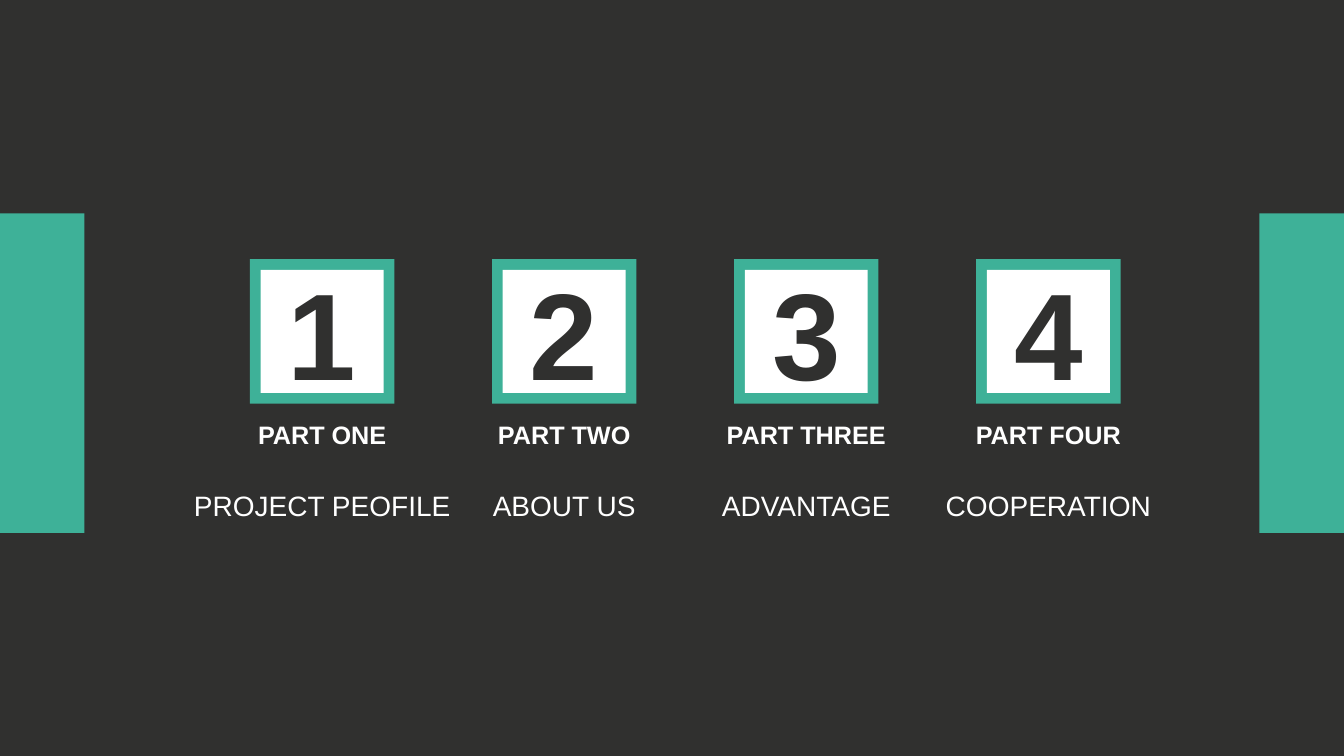
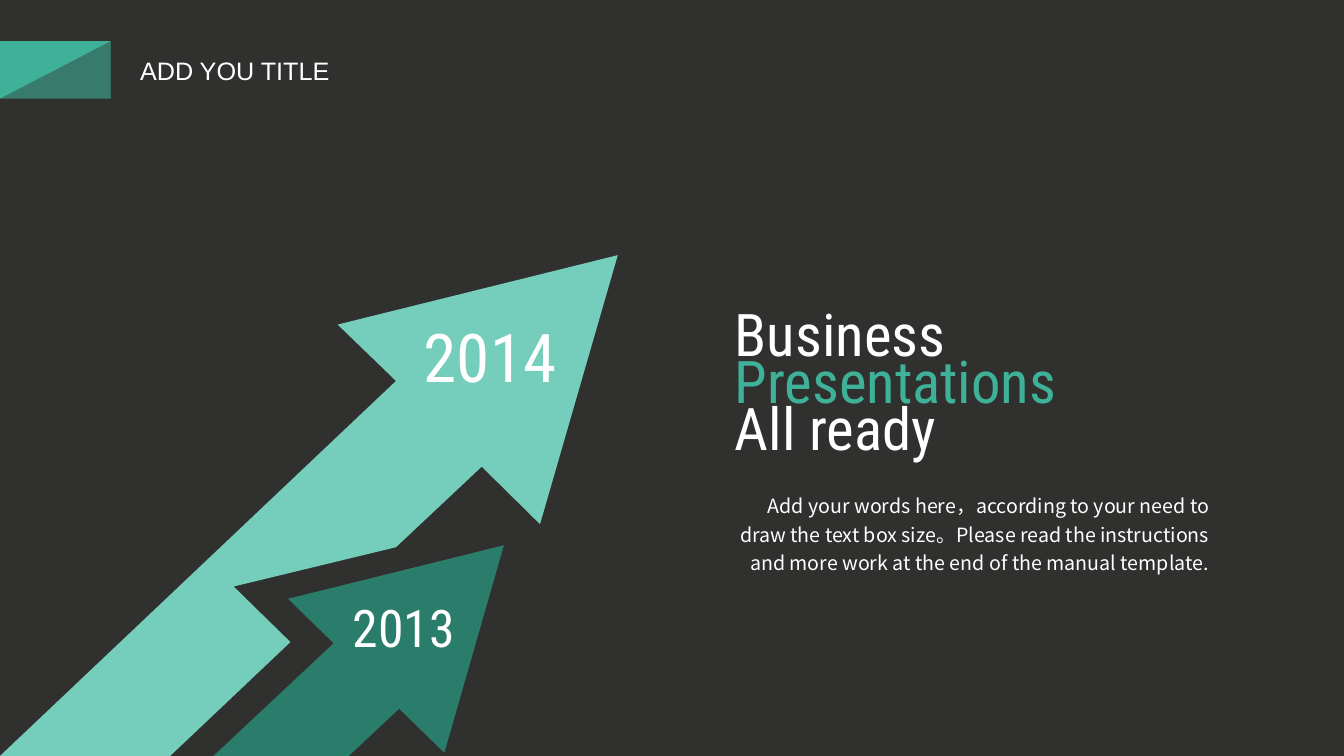
from dataclasses import dataclass

from lxml import etree
from pptx import Presentation
from pptx.dml.color import RGBColor
from pptx.enum.shapes import MSO_SHAPE
from pptx.enum.text import MSO_ANCHOR, MSO_AUTO_SIZE, PP_ALIGN
from pptx.oxml.ns import qn
from pptx.util import Cm, Pt

RECT, RIGHT_TRIANGLE = MSO_SHAPE.RECTANGLE, MSO_SHAPE.RIGHT_TRIANGLE
LEFT, CENTER, RIGHT = PP_ALIGN.LEFT, PP_ALIGN.CENTER, PP_ALIGN.RIGHT
TOP, MIDDLE = MSO_ANCHOR.TOP, MSO_ANCHOR.MIDDLE
GROW, FIXED = MSO_AUTO_SIZE.SHAPE_TO_FIT_TEXT, MSO_AUTO_SIZE.NONE


@dataclass(frozen=True)
class Theme:
    # Colours
    dark: RGBColor = RGBColor(0x30, 0x30, 0x2F)
    green: RGBColor = RGBColor(0x3E, 0xB1, 0x98)
    light_green: RGBColor = RGBColor(0x74, 0xCE, 0xBB)
    deep_green: RGBColor = RGBColor(0x2B, 0x7D, 0x6B)
    white: RGBColor = RGBColor(0xFF, 0xFF, 0xFF)
    # Fonts
    sans: str = "Arial"
    condensed: str = "Roboto Condensed"
    body_font: str = "Noto Sans CJK SC"
    # Type sizes in points
    number: int = 88
    title: int = 18
    topic: int = 20
    headline: int = 42
    year_large: int = 48
    year_small: int = 37
    body: int = 14


T = Theme()
SLIDE_W, SLIDE_H = 33.87, 19.05

# Agenda: caption, caption width, topic, topic width
PARTS = [
    ("PART ONE", 3.78, "PROJECT PEOFILE", 7.04),
    ("PART TWO", 3.89, "ABOUT US", 4.14),
    ("PART THREE", 4.57, "ADVANTAGE", 4.8),
    ("PART FOUR", 4.22, "COOPERATION", 5.74),
]
FIRST_CENTER, PITCH = 8.12, 6.1
FRAME, FRAME_TOP, BORDER = 3.64, 6.53, 0.27

# Arrow outlines, starting from the tip
LARGE_ARROW = [(15.57, 6.43), (8.51, 8.18), (9.98, 9.6), (0, SLIDE_H),
               (4.29, SLIDE_H), (7.32, 16.18), (5.89, 14.78), (9.98, 13.79),
               (12.14, 11.76), (13.61, 13.21)]
SMALL_ARROW = [(12.7, 13.74), (7.26, 15.09), (8.41, 16.21), (5.38, SLIDE_H),
               (8.79, SLIDE_H), (10.06, 17.86), (11.2, 18.97)]


def paint(sp, color):
    """Give a shape a plain fill without line or shadow."""
    sp.shadow.inherit = False
    sp.fill.solid()
    sp.fill.fore_color.rgb = color
    sp.line.fill.background()
    return sp


def add_block(shapes, x, y, w, h, color, kind=RECT):
    return paint(shapes.add_shape(kind, Cm(x), Cm(y), Cm(w), Cm(h)), color)


def add_outline(s, points, color):
    start, *rest = [(Cm(x), Cm(y)) for x, y in points]
    builder = s.shapes.build_freeform(*start)
    builder.add_line_segments(rest, close=True)
    return paint(builder.convert_to_shape(), color)


def style(p, size, color, font, align=LEFT, bold=False, spacing=None):
    p.alignment = align
    if spacing is not None:
        p.line_spacing = spacing
    p.font.size = Pt(size)
    p.font.bold = bold
    p.font.name = font
    p.font.color.rgb = color


def add_text(s, x, y, w, h, lines, size, font, align=LEFT, bold=False,
             wrap=True, anchor=TOP, fit=GROW, margins=(0.25, 0.13),
             spacing=None):
    """Add a text box; lines holds one (text, colour) pair per paragraph."""
    tf = s.shapes.add_textbox(Cm(x), Cm(y), Cm(w), Cm(h)).text_frame
    tf.word_wrap = wrap
    tf.auto_size = fit
    tf.vertical_anchor = anchor
    tf.margin_left = tf.margin_right = Cm(margins[0])
    tf.margin_top = tf.margin_bottom = Cm(margins[1])
    for i, (text, color) in enumerate(lines):
        p = tf.add_paragraph() if i else tf.paragraphs[0]
        p.add_run().text = text
        style(p, size, color, font, align, bold, spacing)


def add_label(s, center, y, w, h, text, size, bold=False):
    """One unwrapped line centred on an agenda column."""
    add_text(s, center - w / 2, y, w, h, [(text, T.white)], size, T.sans,
             CENTER, bold, wrap=False)


def add_number(s, center, number):
    """A framed square with a large figure."""
    x, inner = center - FRAME / 2, FRAME - 2 * BORDER
    add_block(s.shapes, x, FRAME_TOP, FRAME, FRAME, T.green)
    sp = add_block(s.shapes, x + BORDER, FRAME_TOP + BORDER, inner, inner,
                   T.white)
    tf = sp.text_frame
    tf.vertical_anchor = MIDDLE
    p = tf.paragraphs[0]
    p.add_run().text = str(number)
    style(p, T.number, T.dark, T.sans, CENTER, bold=True)


def add_title(s, text):
    """Corner flag with a shaded half, and the slide title."""
    flag = s.shapes.add_group_shape().shapes
    box = (0, 1.04, 2.79, 1.45)
    add_block(flag, *box, T.green)
    shade = add_block(flag, *box, T.dark, RIGHT_TRIANGLE)
    shade._element.spPr.find(qn("a:xfrm")).set("flipH", "1")
    color = shade._element.spPr.find(qn("a:solidFill"))[0]
    etree.SubElement(color, qn("a:alpha")).set("val", "42000")
    add_text(s, 3.28, 1.27, 5.33, 1.02, [(text, T.white)], T.title, T.sans,
             wrap=False)


def build_agenda(s):
    # Side bars
    bar = 2.13
    for x in (0, SLIDE_W - bar):
        add_block(s.shapes, x, 5.38, bar, 8.05, T.green)
    # Numbered columns
    for i, (caption, caption_w, topic, topic_w) in enumerate(PARTS):
        center = FIRST_CENTER + i * PITCH
        add_number(s, center, i + 1)
        add_label(s, center, 10.44, caption_w, 1.02, caption, T.title, True)
        add_label(s, center, 12.19, topic_w, 1.12, topic, T.topic)


def build_growth(s):
    add_title(s, "ADD YOU TITLE")
    # Arrows
    add_outline(s, LARGE_ARROW, T.light_green)
    add_outline(s, SMALL_ARROW, T.deep_green)
    # Headline
    add_text(s, 18.19, 7.62, 11.38, 4.52,
             [("Business", T.white), ("Presentations", T.green),
              ("All ready", T.white)],
             T.headline, T.condensed, anchor=MIDDLE, fit=FIXED,
             margins=(0.33, 0.18), spacing=Pt(33.4))
    # Years
    for x, y, h, year, size in ((10.03, 7.82, 2.31, "2014", T.year_large),
                                (7.85, 14.88, 1.85, "2013", T.year_small)):
        add_text(s, x, y, 4.65, h, [(year, T.white)], size, T.condensed,
                 CENTER)
    # Body text
    body = ("Add your words here，according to your need to draw the text box "
            "size。Please read the instructions and more work at the end of "
            "the manual template.")
    add_text(s, 18.57, 12.34, 11.91, 2.87, [(body, T.white)], T.body,
             T.body_font, RIGHT, margins=(0, 0), spacing=1.2)


def main():
    prs = Presentation()
    prs.slide_width, prs.slide_height = Cm(SLIDE_W), Cm(SLIDE_H)
    # Shared background
    fill = prs.slide_master.background.fill
    fill.solid()
    fill.fore_color.rgb = T.dark
    blank = prs.slide_layouts[6]
    for build in (build_agenda, build_growth):
        build(prs.slides.add_slide(blank))
    prs.save("out.pptx")


if __name__ == "__main__":
    main()
